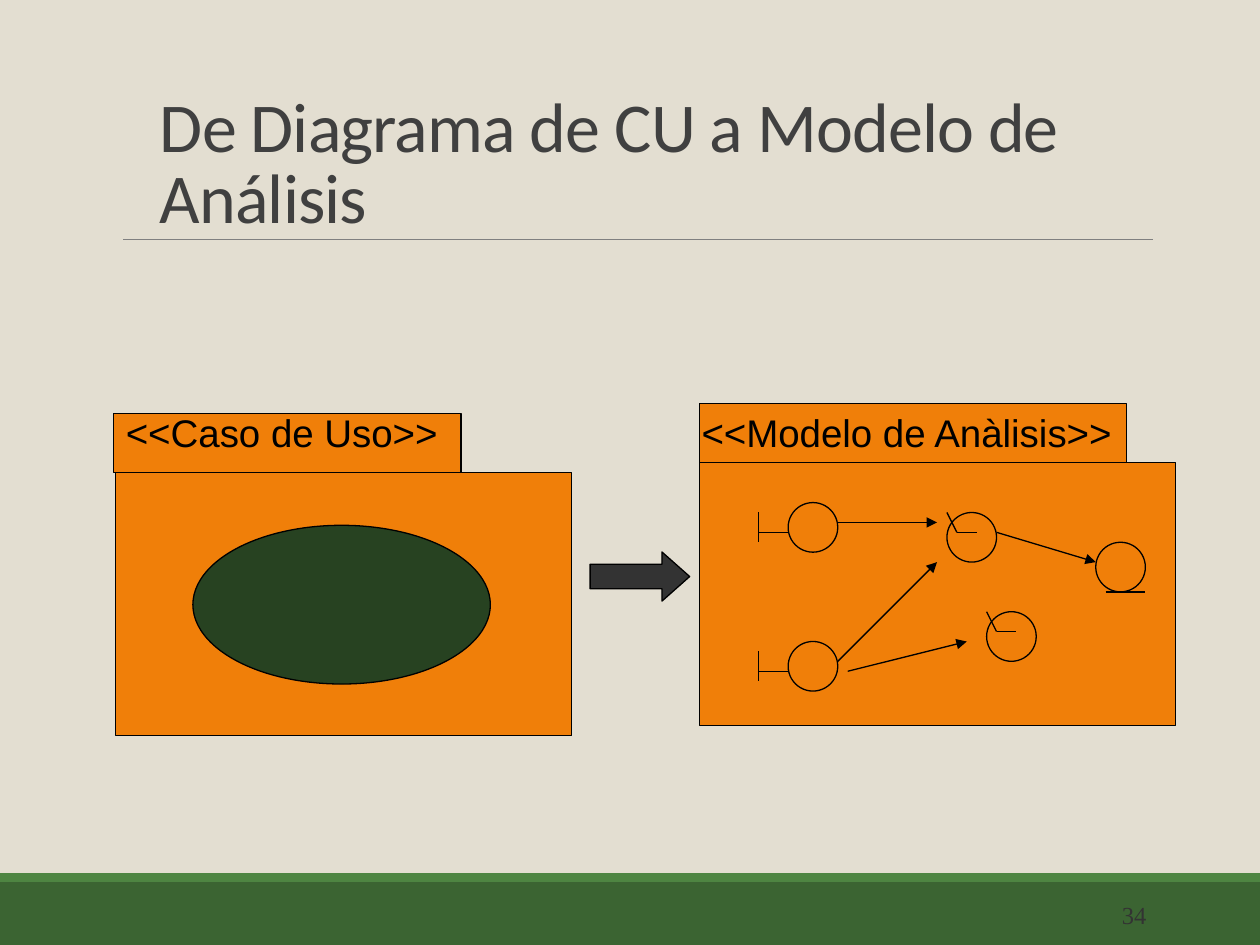
import pptx
import pptx.util
import pptx.dml.color
import pptx.enum.shapes
import pptx.enum.text
import pptx.oxml
import pptx.oxml.ns

Pt = pptx.util.Pt
RGB = pptx.dml.color.RGBColor.from_string
Kind = pptx.enum.shapes.MSO_SHAPE
Text = pptx.enum.text

theme = {
    "back": "E3DED1", "band": "3B6432", "strip": "4E8542", "rule": "808080",
    "title": "404040", "ink": "000000", "pack": "F07F09", "case": "274221",
    "arrow": "333333", "sizes": {"title": 40, "label": 22, "page": 14},
}
sizes = theme["sizes"]

deck = pptx.Presentation()
deck.slide_width, deck.slide_height = Pt(720), Pt(540)
slide = deck.slides.add_slide(deck.slide_layouts[5])
slide.background.fill.solid()
slide.background.fill.fore_color.rgb = RGB(theme["back"])
shapes = slide.shapes


def box(kind, left, top, width, height, fill=None, line="ink"):
    """Add a preset shape; fill and line are theme names or None."""
    shape = shapes.add_shape(kind, Pt(left), Pt(top), Pt(width), Pt(height))
    shape.shadow.inherit = False
    if fill:
        shape.fill.solid()
        shape.fill.fore_color.rgb = RGB(theme[fill])
    else:
        shape.fill.background()
    if line:
        shape.line.color.rgb = RGB(theme[line])
        shape.line.width = Pt(0.75)
    else:
        shape.line.fill.background()
    return shape


def link(x1, y1, x2, y2, color="ink", width=0.75, head=False):
    """Add a straight line, with an arrowhead at its end if head is set."""
    line = shapes.add_connector(pptx.enum.shapes.MSO_CONNECTOR.STRAIGHT,
                                Pt(x1), Pt(y1), Pt(x2), Pt(y2))
    line.line.color.rgb = RGB(theme[color])
    line.line.width = Pt(width)
    if head:
        tail = pptx.oxml.parse_xml(
            f'<a:tailEnd {pptx.oxml.ns.nsdecls("a")} type="triangle"/>')
        line.line._get_or_add_ln().append(tail)
    line._element.spPr.append(pptx.oxml.parse_xml(
        f'<a:effectLst {pptx.oxml.ns.nsdecls("a")}/>'))


# Frame of the page
box(Kind.RECTANGLE, 0, 504, 720, 36, "band", None)
box(Kind.RECTANGLE, 0, 499, 720, 5, "strip", None)
link(70.5, 136.8, 658.8, 136.8, "rule", 0.5)

# Packages, case and the arrow between them
box(Kind.RECTANGLE, 399.6, 230.4, 244, 33.8, "pack")
box(Kind.RECTANGLE, 66.2, 270, 260.6, 150.5, "pack")
box(Kind.RECTANGLE, 64.8, 236.2, 198.7, 33.8, "pack")
box(Kind.OVAL, 110.2, 300.2, 170, 90.7, "case")
box(Kind.RECTANGLE, 399.6, 264.2, 272.2, 150.5, "pack")
arrow = box(Kind.RIGHT_ARROW, 337.2, 315.4, 56.9, 28.1, "arrow")
arrow.adjustments[1] = 0.564

# Texts
title = shapes.title
label = {"size": Pt(sizes["label"]), "name": "Arial"}
page = {"size": Pt(sizes["page"]), "name": "Times New Roman"}
head = {"size": Pt(sizes["title"]), "name": "Calibri"}
left, right = Text.PP_ALIGN.LEFT, Text.PP_ALIGN.RIGHT
top, low = Text.MSO_ANCHOR.TOP, Text.MSO_ANCHOR.BOTTOM
texts = [
    (title, "De Diagrama de CU a Modelo de Análisis",
     (84.2, 49.7, 612, 90), head, "title", left, low),
    (None, "<<Caso de Uso>>", (64.8, 230.4, 215.3, 33.8),
     label, "ink", left, top),
    (None, "<<Modelo de Anàlisis>>", (393.8, 230.4, 272.2, 33.8),
     label, "ink", left, top),
    (None, "34", (600, 511, 62.2, 26), page, "arrow", right, top),
]
for shape, words, place, font, color, align, anchor in texts:
    shape = shape or shapes.add_textbox(0, 0, 0, 0)
    for name, value in zip(("left", "top", "width", "height"), place):
        setattr(shape, name, Pt(value))
    frame = shape.text_frame
    frame.text = words
    form = {"word_wrap": True, "vertical_anchor": anchor,
            "auto_size": Text.MSO_AUTO_SIZE.NONE}
    for name, value in form.items():
        setattr(frame, name, value)
    para = frame.paragraphs[0]
    para.alignment = align
    run = para.runs[0]
    for name, value in font.items():
        setattr(run.font, name, value)
    run.font.color.rgb = RGB(theme[color])
para = title.text_frame.paragraphs[0]
para.line_spacing = 0.85
para.runs[0]._r.get_or_add_rPr().set("spc", "-50")

# Analysis classes, on a grid of columns and rows
unit, col, row = 5.67, 433.4, 287.2
rings = [(3, 0), (3, 14), (19, 1), (23, 11), (34, 4)]
lines = [(35, 9, 39, 9)]
for y in (0, 14):  # boundary
    lines += [(0, y + 3, 3, y + 3), (0, y + 1, 0, y + 4)]
for x, y in ((19, 1), (23, 11)):  # control
    lines += [(x, y, x + 1, y + 2), (x + 1, y + 2, x + 3, y + 2)]
calls = [(8, 2, 18, 2), (9, 17, 21, 14), (8, 16, 18, 6), (24, 3, 34, 6)]

for x, y in rings:
    box(Kind.OVAL, col + x * unit, row + y * unit, 5 * unit, 5 * unit)
for group, head in ((lines, False), (calls, True)):
    for x1, y1, x2, y2 in group:
        link(col + x1 * unit, row + y1 * unit,
             col + x2 * unit, row + y2 * unit, head=head)

deck.save("out.pptx")
